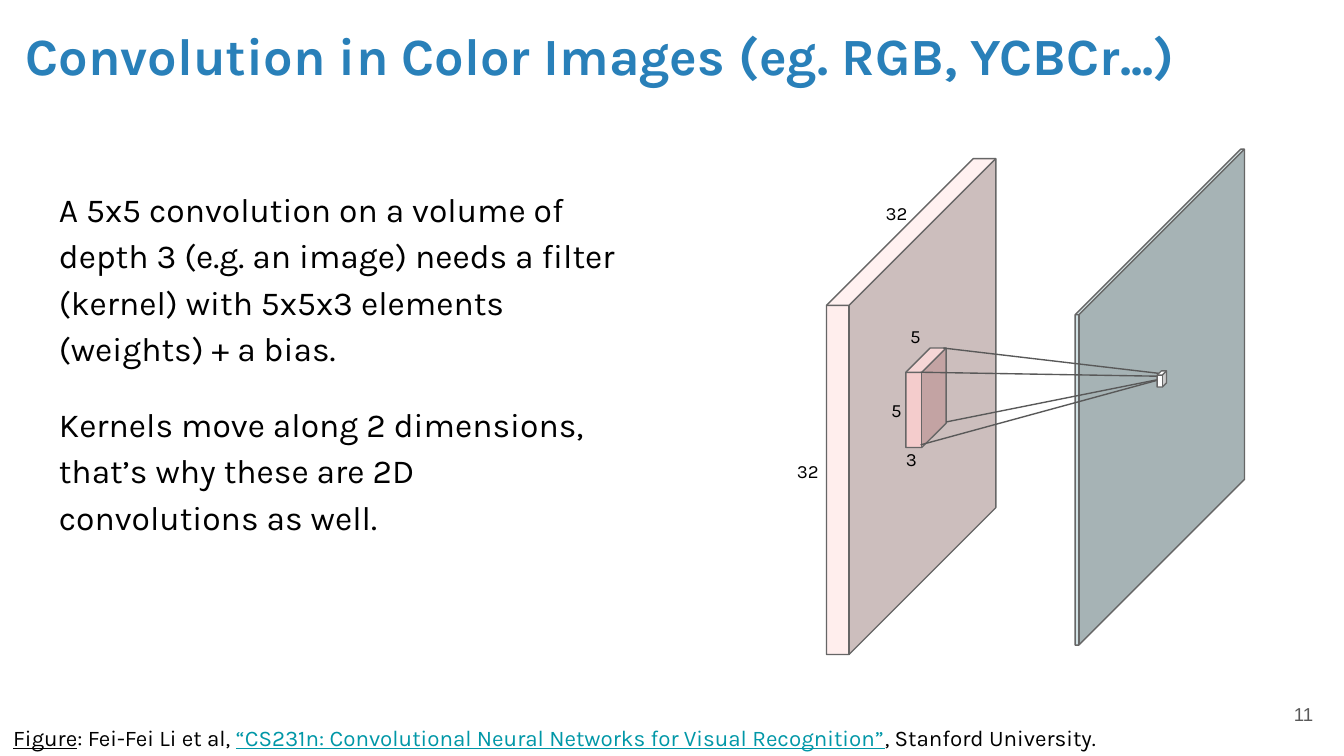
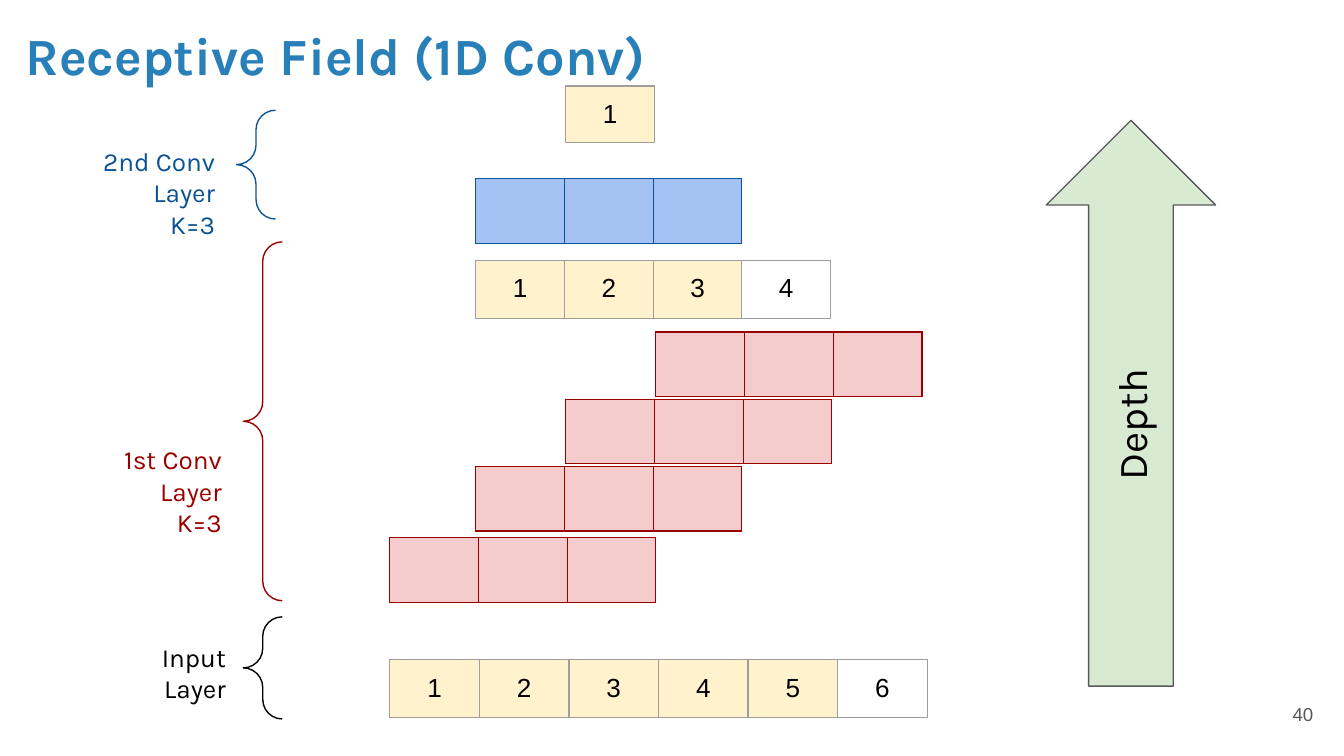
from dataclasses import dataclass

from lxml import etree
from pptx import Presentation
from pptx import util as u
from pptx.dml.color import RGBColor
from pptx.enum import shapes, text
from pptx.oxml import ns


@dataclass(frozen=True)
class Theme:
    title: str = "2980B9"
    ink: str = "000000"
    link: str = "0097A7"
    grey: str = "595959"
    cube_edge: str = "666666"
    cell_edge: str = "9E9E9E"
    red: str = "990000"
    blue: str = "0B5394"
    pink: str = "F4CCCC"
    pale_pink: str = "FFEEED"
    pale_teal: str = "D0E0E3"
    pale_blue: str = "A4C2F4"
    green: str = "D9EAD3"
    cream: str = "FFF2CC"
    white: str = "FFFFFF"
    font: str = "Karla"
    number_font: str = "Arial"
    title_size: float = 28
    depth_size: float = 22
    body_size: float = 18
    label_size: float = 14
    source_size: float = 12
    small_size: float = 10
    line_width: float = 0.75
    inset: float = 0.1


THEME = Theme()
LEFT, CENTER, RIGHT = text.PP_ALIGN.LEFT, text.PP_ALIGN.CENTER, text.PP_ALIGN.RIGHT
TOP, MIDDLE = text.MSO_ANCHOR.TOP, text.MSO_ANCHOR.MIDDLE
SHAPE = shapes.MSO_SHAPE


def rgb(color):
    return RGBColor.from_string(color)


def inches(*values):
    return [u.Inches(value) for value in values]


def set_insets(target):
    """Give a text frame or a table cell the same margin on each side."""
    target.margin_left = target.margin_right = u.Inches(THEME.inset)
    target.margin_top = target.margin_bottom = u.Inches(THEME.inset)


# Text: each paragraph is a string or a list of (string, run format) pairs
def write_text(frame, paragraphs, *, size=THEME.label_size, color=THEME.ink,
               font=THEME.font, bold=False, align=LEFT, anchor=TOP,
               line_spacing=None, space_before=0):
    frame.word_wrap = True
    frame.auto_size = text.MSO_AUTO_SIZE.NONE
    frame.vertical_anchor = anchor
    set_insets(frame)
    for index, content in enumerate(paragraphs):
        paragraph = frame.add_paragraph() if index else frame.paragraphs[0]
        paragraph.alignment = align
        if line_spacing:
            paragraph.line_spacing = line_spacing
        paragraph.space_before = u.Pt(space_before if index else 0)
        runs = [(content, {})] if isinstance(content, str) else content
        for words, change in runs:
            run = paragraph.add_run()
            run.text = words
            run.font.name = font
            run.font.size = u.Pt(size)
            run.font.bold = bold
            run.font.underline = change.get("underline", False)
            run.font.color.rgb = rgb(change.get("color", color))


def add_text(slide, box, paragraphs, **style):
    shape = slide.shapes.add_textbox(*inches(*box))
    write_text(shape.text_frame, paragraphs, **style)


# Shapes and lines
def add_outlined(slide, kind, box, edge, fill=None, adjustments=()):
    shape = slide.shapes.add_shape(kind, *inches(*box))
    shape.shadow.inherit = False
    for index, value in enumerate(adjustments):
        shape.adjustments[index] = value
    if fill:
        shape.fill.solid()
        shape.fill.fore_color.rgb = rgb(fill)
    else:
        shape.fill.background()
    shape.line.color.rgb = rgb(edge)
    shape.line.width = u.Pt(THEME.line_width)
    return shape


def add_cube(slide, box, depth, fill):
    add_outlined(slide, SHAPE.CUBE, box, THEME.cube_edge, fill, [depth])


def add_brace(slide, box, color):
    add_outlined(slide, SHAPE.LEFT_BRACE, box, color, adjustments=[0.5, 0.5])


def add_line(slide, start, end):
    line = slide.shapes.add_connector(
        shapes.MSO_CONNECTOR.STRAIGHT, *inches(*start, *end))
    line.line.color.rgb = rgb(THEME.grey)
    line.line.width = u.Pt(THEME.line_width)
    etree.SubElement(line._element.spPr, ns.qn("a:effectLst"))


# Tables of one row
def set_borders(cell, color):
    properties = cell._tc.get_or_add_tcPr()
    for side in ("lnL", "lnR", "lnT", "lnB"):
        border = etree.SubElement(properties, ns.qn(f"a:{side}"),
                                  w=str(u.Pt(THEME.line_width)))
        fill = etree.SubElement(border, ns.qn("a:solidFill"))
        etree.SubElement(fill, ns.qn("a:srgbClr"), val=color)


def set_empty_font(cell):
    """Set the font that gives an empty cell its least height."""
    paragraph = cell.text_frame.paragraphs[0]._p
    end = etree.SubElement(paragraph, ns.qn("a:endParaRPr"),
                           sz=str(THEME.body_size * 100))
    etree.SubElement(end, ns.qn("a:latin"), typeface=THEME.number_font)


def add_cells(slide, left, top, labels, fills, edge, width=0.66, height=0.42):
    frame = slide.shapes.add_table(
        1, len(labels), *inches(left, top, width * len(labels), height))
    table = frame.table
    table.first_row = table.horz_banding = False
    for cell, label, fill in zip(table.iter_cells(), labels, fills):
        set_insets(cell)
        set_borders(cell, edge)
        if fill:
            cell.fill.solid()
            cell.fill.fore_color.rgb = rgb(fill)
        else:
            cell.fill.background()
        if label:
            write_text(cell.text_frame, [label], font=THEME.number_font,
                       align=CENTER)
        else:
            set_empty_font(cell)


def add_values(slide, left, top, count, seen, **size):
    """Numbered cells, the first of which lie in the receptive field."""
    labels = [str(number + 1) for number in range(count)]
    fills = [THEME.cream if number < seen else None for number in range(count)]
    add_cells(slide, left, top, labels, fills, THEME.cell_edge, **size)


def add_kernel(slide, left, top, fill, edge, taps=3):
    add_cells(slide, left, top, [""] * taps, [fill] * taps, edge)


# Title and page number on every slide
def add_slide(presentation, title, number):
    slide = presentation.slides.add_slide(presentation.slide_layouts[5])
    heading = slide.shapes.title
    heading.left, heading.top, heading.width, heading.height = inches(
        0.09, 0.07, 9.32, 0.63)
    write_text(heading.text_frame, [title], size=THEME.title_size,
               color=THEME.title, bold=True)
    add_text(slide, (9.27, 5.1, 0.6, 0.43), [str(number)],
             size=THEME.small_size, font=THEME.number_font, color=THEME.grey,
             align=RIGHT, anchor=MIDDLE)
    return slide


def build_color_convolution(presentation):
    slide = add_slide(presentation,
                      "Convolution in Color Images (eg. RGB, YCBCr...)", 11)
    add_text(slide, (0.34, 1.26, 4.37, 3.74), [
        "A 5x5 convolution on a volume of depth 3 (e.g. an image) needs a "
        "filter (kernel) with 5x5x3 elements (weights) + a bias.",
        "Kernels move along 2 dimensions, that’s why these are 2D "
        "convolutions as well.",
    ], size=THEME.body_size, line_spacing=1.15, space_before=16)

    # Input volume, kernel and their dimensions
    add_cube(slide, (6.15, 1.18, 1.26, 3.69), 0.867, THEME.pale_pink)
    add_cube(slide, (6.74, 2.59, 0.3, 0.74), 0.604, THEME.pink)
    for label, left, top, width in (
            ("32", 6.38, 1.4, 0.58), ("32", 5.72, 3.32, 0.58),
            ("5", 6.52, 2.32, 0.58), ("5", 6.52, 2.87, 0.3),
            ("3", 6.49, 3.23, 0.58)):
        add_text(slide, (left, top, width, 0.45), [label],
                 size=THEME.small_size, align=CENTER)

    # Output map and the one value that the kernel yields
    add_cube(slide, (8, 1.11, 1.26, 3.69), 0.978, THEME.pale_teal)
    for kernel_corner, output_corner in (
            ((6.85, 3.31), (8.61, 2.83)), ((6.85, 2.77), (8.66, 2.8)),
            ((7.02, 2.59), (8.64, 2.78)), ((7.04, 3.14), (8.64, 2.82))):
        add_line(slide, kernel_corner, output_corner)
    add_cube(slide, (8.61, 2.76, 0.07, 0.12), 0.453, THEME.white)

    # Source
    add_text(slide, (0, 5.29, 8.66, 0.34), [[
        ("Figure", {"underline": True}),
        (": Fei-Fei Li et al, ", {}),
        ("“CS231n: Convolutional Neural Networks for Visual Recognition”",
         {"underline": True, "color": THEME.link}),
        (", Stanford University.", {}),
    ]], size=THEME.source_size)


def build_receptive_field(presentation):
    slide = add_slide(presentation, "Receptive Field (1D Conv)", 40)

    # Depth arrow
    arrow = add_outlined(slide, SHAPE.RIGHT_ARROW, (6.31, 2.37, 4.21, 1.26),
                         THEME.grey, THEME.green, [0.5, 0.5])
    arrow.rotation = 270
    write_text(arrow.text_frame, ["Depth"], size=THEME.depth_size,
               align=CENTER, anchor=MIDDLE)

    # Cells, from the input up to the single output
    column_lefts = (2.9, 3.54, 4.21, 4.88)
    add_values(slide, column_lefts[0], 4.91, 6, 5, width=4 / 6, height=0.43)
    for left, top in zip(column_lefts, (4, 3.47, 2.97, 2.47)):
        add_kernel(slide, left, top, THEME.pink, THEME.red)
    add_values(slide, column_lefts[1], 1.94, 4, 3, height=0.43)
    add_kernel(slide, column_lefts[1], 1.33, THEME.pale_blue, THEME.blue)
    add_values(slide, column_lefts[2], 0.64, 1, 1)

    # Layer names and braces
    for lines, label_box, brace_box, color in (
            (["2nd Conv Layer", "K=3"], (0.29, 0.98, 1.41, 0.81),
             (1.76, 0.82, 0.29, 0.81), THEME.blue),
            (["1st Conv Layer", "K=3"], (0.34, 3.2, 1.41, 0.81),
             (1.81, 1.8, 0.29, 2.67), THEME.red),
            (["Input Layer"], (0.67, 4.67, 1.11, 0.81),
             (1.81, 4.59, 0.29, 0.76), THEME.ink)):
        add_text(slide, label_box, lines, color=color, align=RIGHT)
        add_brace(slide, brace_box, color)


def main():
    presentation = Presentation()
    # Widescreen, 16 to 9
    presentation.slide_width = u.Inches(10)
    presentation.slide_height = u.Inches(10 * 9 / 16)
    build_color_convolution(presentation)
    build_receptive_field(presentation)
    presentation.save("out.pptx")


if __name__ == "__main__":
    main()
